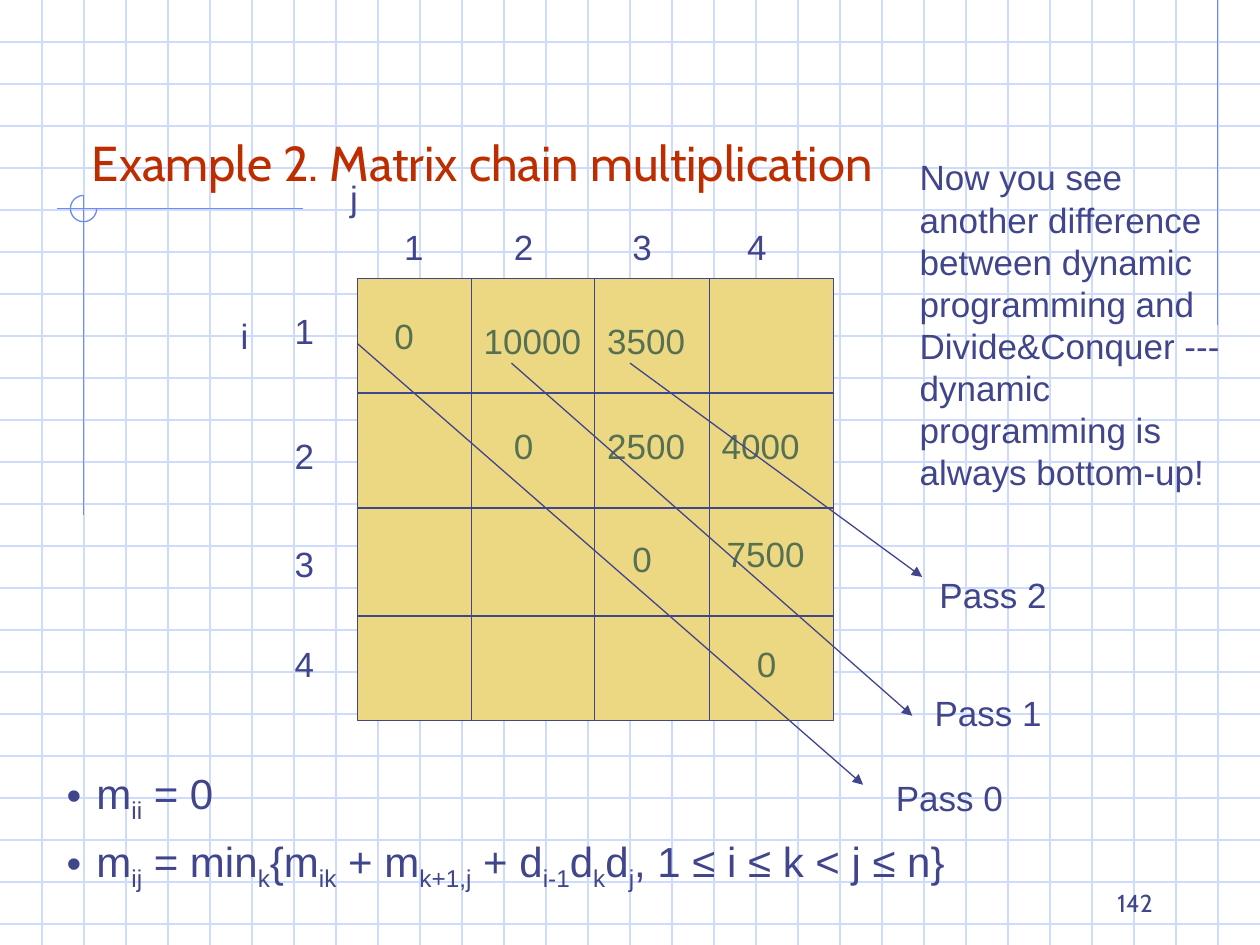
from lxml import etree
from pptx import Presentation
from pptx.dml.color import RGBColor
from pptx.enum.shapes import MSO_CONNECTOR, MSO_SHAPE
from pptx.enum.text import MSO_ANCHOR, MSO_AUTO_SIZE, PP_ALIGN
from pptx.oxml.ns import qn
from pptx.util import Cm, Pt

STRAIGHT = MSO_CONNECTOR.STRAIGHT
RECT, ARC = MSO_SHAPE.RECTANGLE, MSO_SHAPE.ARC
LEFT, RIGHT = PP_ALIGN.LEFT, PP_ALIGN.RIGHT
TOP, BOTTOM = MSO_ANCHOR.TOP, MSO_ANCHOR.BOTTOM
FIXED, GROW = MSO_AUTO_SIZE.NONE, MSO_AUTO_SIZE.SHAPE_TO_FIT_TEXT

COLORS = {"ink": "40458C", "value": "577052", "title": "BE2D00",
          "cell": "ECD882", "grid": "CFDBFD", "accent": "6F89F7"}
WIDTH, HEIGHT = 25.4, 19.05


def rgb(name):
    return RGBColor.from_string(COLORS[name])


class Board:
    """Text style and drawing methods for one slide."""
    font, size, line_width = "Arial", 20, 0.75

    def __init__(self, slide):
        self.slide = slide

    def line(self, x1, y1, x2, y2, color="ink", arrow=False):
        c = self.slide.shapes.add_connector(STRAIGHT, Cm(x1), Cm(y1), Cm(x2), Cm(y2))
        c.line.color.rgb = rgb(color)
        c.line.width = Pt(self.line_width)
        if arrow:
            etree.SubElement(c.line._get_or_add_ln(), qn("a:tailEnd"), type="triangle")
        etree.SubElement(c._element.spPr, qn("a:effectLst"))

    def shape(self, kind, x, y, w, h, line, fill=None):
        sp = self.slide.shapes.add_shape(kind, Cm(x), Cm(y), Cm(w), Cm(h))
        sp.shadow.inherit = False
        if fill:
            sp.fill.solid()
            sp.fill.fore_color.rgb = rgb(fill)
        else:
            sp.fill.background()
        sp.line.color.rgb = rgb(line)
        sp.line.width = Pt(self.line_width)
        return sp

    def frame(self, sp, **formats):
        tf = sp.text_frame
        defaults = {"word_wrap": True, "auto_size": GROW, "vertical_anchor": TOP}
        for name, value in {**defaults, **formats}.items():
            setattr(tf, name, value)
        return tf

    def run(self, p, text, color="ink", **formats):
        r = p.add_run()
        r.text = text
        for name, value in {"name": self.font, "size": Pt(self.size), **formats}.items():
            setattr(r.font, name, value)
        r.font.color.rgb = rgb(color)
        return r

    def text(self, text, x, y, w, h=1.12, color="ink", align=LEFT, frame=None, **formats):
        sp = self.slide.shapes.add_textbox(Cm(x), Cm(y), Cm(w), Cm(h))
        p = self.frame(sp, **(frame or {})).paragraphs[0]
        p.alignment = align
        self.run(p, text, color, **formats)

    def place(self, sp, x, y, w, h):
        """Position a placeholder and bring it in front of what is drawn so far."""
        sp.left, sp.top, sp.width, sp.height = Cm(x), Cm(y), Cm(w), Cm(h)
        self.slide.shapes._spTree.append(sp._element)

    def title(self, text, *box):
        sp = self.slide.shapes.title
        self.place(sp, *box)
        p = self.frame(sp, auto_size=FIXED, vertical_anchor=BOTTOM).paragraphs[0]
        p.alignment = LEFT
        self.run(p, text, "title", name="Cabin", size=Pt(28))

    def formulas(self, lines, *box):
        """Bulleted list; every second part of a line is a subscript."""
        sp = self.slide.placeholders[1]
        self.place(sp, *box)
        tf = self.frame(sp)
        for i, parts in enumerate(lines):
            p = tf.add_paragraph() if i else tf.paragraphs[0]
            p.space_before = Pt(6 if i else 0)
            pPr = p._p.get_or_add_pPr()
            pPr.set("marL", str(Cm(0.6)))
            pPr.set("indent", str(-Cm(0.6)))
            etree.SubElement(etree.SubElement(pPr, qn("a:buClr")),
                             qn("a:srgbClr"), val=COLORS["ink"])
            etree.SubElement(pPr, qn("a:buFont"), typeface=self.font)
            etree.SubElement(pPr, qn("a:buChar"), char="•")
            for n, part in enumerate(parts.split("|")):
                r = self.run(p, part, size=Pt(24))
                if n % 2:
                    r.font._element.set("baseline", "-25000")


def main():
    prs = Presentation()
    prs.slide_width, prs.slide_height = Cm(WIDTH), Cm(HEIGHT)
    b = Board(prs.slides.add_slide(prs.slide_layouts[1]))

    # Squared paper
    step = WIDTH / 30
    for i in range(1, 23):
        b.line(0, i * step, WIDTH, i * step, "grid")
    for i in range(1, 30):
        b.line(i * step, 0, i * step, HEIGHT, "grid")

    # Margin lines and three-quarter circle
    b.line(24.55, 0, 24.55, 6.55, "accent")
    b.line(6.1, 4.21, 1.15, 4.21, "accent")
    b.line(1.69, 3.94, 1.69, 10.39, "accent")
    arc = b.shape(ARC, 1.42, 3.94, 0.53, 0.53, "accent")
    arc.adjustments[0], arc.adjustments[1] = 0, 162

    # Title and recurrence
    b.title("Example 2. Matrix chain multiplication", 1.6, 0.81, 20.96, 3.18)
    b.formulas(["m|ii| = 0",
                "m|ij| = min|k|{m|ik| + m|k+1,j| + d|i-1|d|k|d|j|, 1 ≤ i ≤ k < j ≤ n}"],
               1.09, 15.34, 21.72, 2.79)

    # Cost matrix
    left, top, right, bottom = 7.21, 5.61, 16.8, 14.52
    b.shape(RECT, left, top, right - left, bottom - top, "ink", "cell")
    for y in (7.92, 10.24, 12.42):
        b.line(left, y, right, y)
    for x in (9.5, 11.99, 14.3):
        b.line(x, top, x, bottom)

    # Row and column labels
    b.text("i", 4.6, 6.22, 1.7)
    b.text("j", 6.81, 3.43, 0.66, frame={"word_wrap": False})
    columns, rows = (7.9, 10.11, 12.5, 14.81), (6.12, 8.64, 10.82, 12.83)
    for n, (x, y) in enumerate(zip(columns, rows), 1):
        b.text(str(n), x, 4.42, 1.3)
        b.text(str(n), 5.69, y, 1.3)

    # Matrix values
    for value, x, y, w in (
            ("0", 7.7, 6.22, 1.3), ("0", 10.11, 8.43, 1.3),
            ("0", 12.5, 10.72, 1.3), ("0", 15.01, 12.83, 1.3),
            ("10000", 9.5, 6.32, 2.59), ("3500", 11.99, 6.32, 2.31),
            ("2500", 11.99, 8.43, 2.39), ("4000", 14.3, 8.43, 2.39),
            ("7500", 14.4, 10.62, 2.59)):
        b.text(value, x, y, w, color="value")

    # Passes along the diagonals
    for n, (arrow, x, y) in enumerate((
            ((7.21, 6.93, 17.4, 15.82), 17.81, 15.52),
            ((10.31, 7.32, 18.39, 14.43), 18.59, 13.82),
            ((12.7, 7.32, 18.59, 11.63), 18.69, 11.43))):
        b.line(*arrow, arrow=True)
        b.text(f"Pass {n}", x, y, 4.01)

    # Remark and slide number
    b.text("Now you see another difference between dynamic programming and "
           "Divide&Conquer --- dynamic programming is always bottom-up!",
           18.29, 3.02, 7.11, 7.04)
    b.text("142", 18.21, 17.35, 5.28, 1.27, align=RIGHT, name="Cabin", size=Pt(14),
           frame={"auto_size": FIXED, "vertical_anchor": BOTTOM})

    prs.save("out.pptx")


if __name__ == "__main__":
    main()
